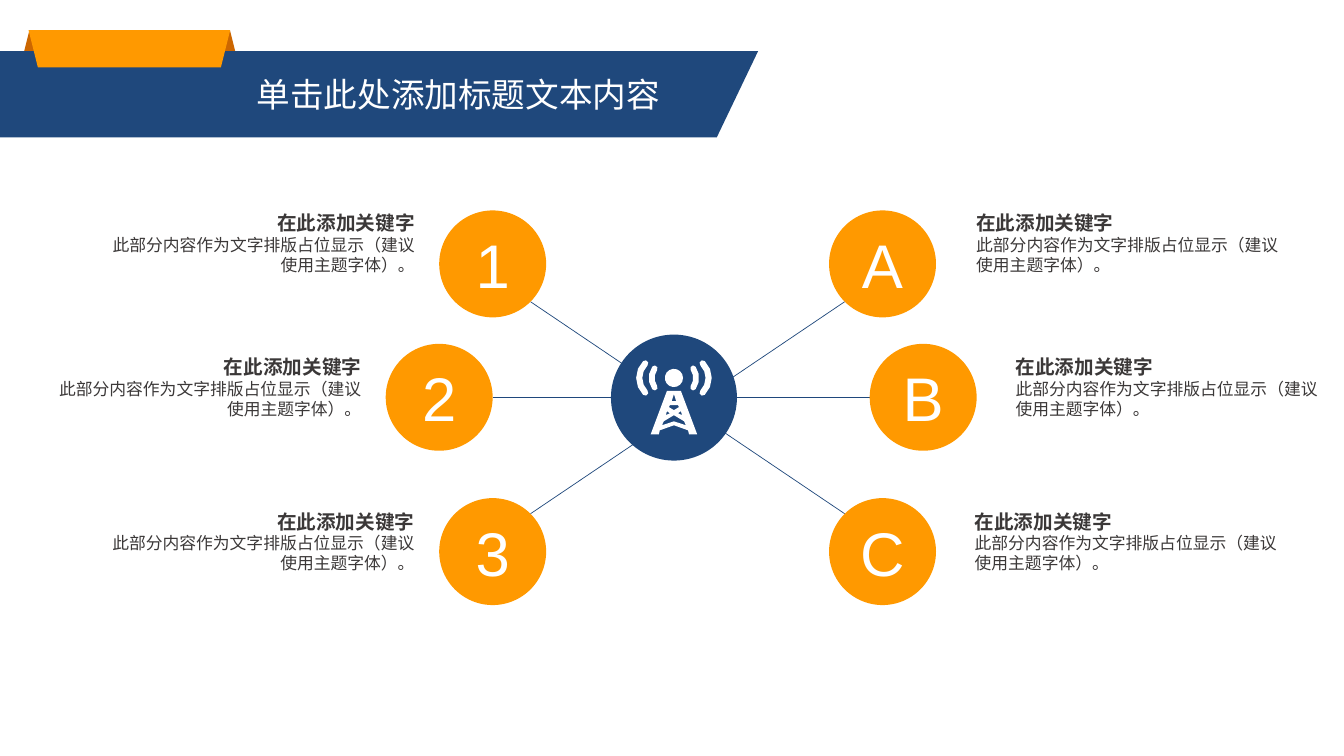
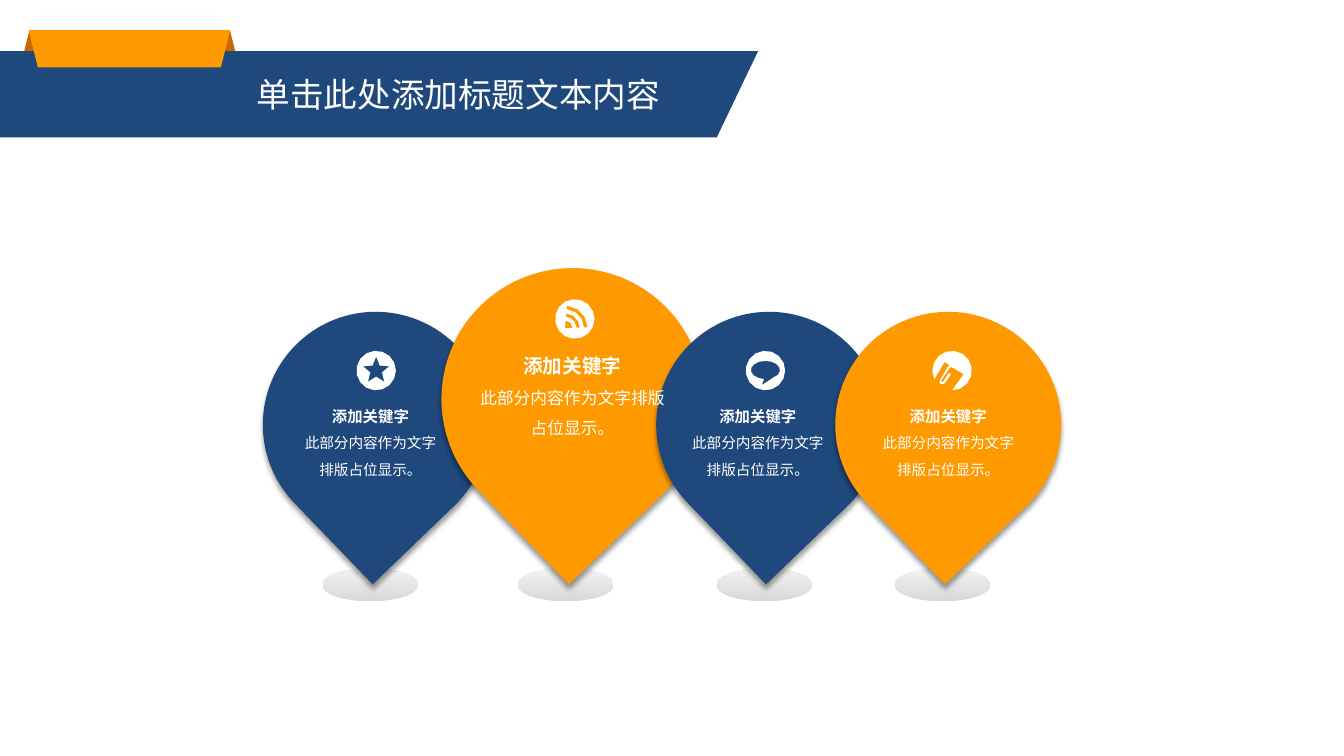
"""Build two diagram slides: a hub with six branches and a row of map pins."""
import math

from lxml import etree
from pptx import Presentation
from pptx.dml.color import RGBColor
from pptx.enum import shapes, text
from pptx.oxml.ns import qn
from pptx.util import Pt


class Theme:
    blue = RGBColor.from_string("1F487C")
    orange = RGBColor.from_string("FF9900")
    fold = RGBColor.from_string("CC6600")
    ink = RGBColor.from_string("3B3838")
    white = RGBColor.from_string("FFFFFF")
    ground = [RGBColor.from_string(c) for c in ("D8D8D8", "F2F2F2")]
    font = "Arial"
    title, digit, heading, body = 24, 44, 14, 12
    small_heading, small_body = 11, 10.5


KIND = shapes.MSO_SHAPE
LEFT, CENTER, RIGHT = text.PP_ALIGN.LEFT, text.PP_ALIGN.CENTER, text.PP_ALIGN.RIGHT

TITLE = "单击此处添加标题文本内容"
BRANCH_TEXT = ("在此添加关键字", "此部分内容作为文字排版占位显示（建议使用主题字体）。")
PIN_TEXT = ("添加关键字", "此部分内容作为文字排版占位显示。")

HUB = (481.4, 284, 90)
NODE = 76.4
BRANCHES = [
    ("1", 351.9, 188.5, 68.4, 146.2, RIGHT),
    ("2", 313.7, 283.8, 30.2, 248.9, RIGHT),
    ("3", 351.9, 394, 68.2, 359.1, RIGHT),
    ("A", 630.4, 188.5, 687.7, 146.2, LEFT),
    ("B", 659.4, 283.8, 715.8, 248.9, LEFT),
    ("C", 630.4, 394, 686.6, 359.1, LEFT),
]
LINKS = [("2", "B", 0), ("3", "A", -45), ("1", "C", 45)]

SMALL = dict(top=222.7, size=161.3, text=(279.2, 122.4, 67.7), icon_y=264.7,
             type=(Theme.small_heading, Theme.small_body))
LARGE = dict(top=191.5, size=187.2, text=(239.8, 155.5, 78.5), icon_y=227.8,
             type=(Theme.heading, Theme.body))
PINS = [
    ("star", SMALL, Theme.blue, 187.7, 230.4, 203.5, 268.7),
    ("feed", LARGE, Theme.orange, 315.3, 370, 331.2, 410.6),
    ("speech", SMALL, Theme.blue, 468.7, 511.9, 480.2, 546.8),
    ("clip", SMALL, Theme.orange, 596.6, 639.2, 616.2, 680.1),
]

CLIP_EDGE = [
    (-5.4, -6.1), (-1.8, -4), (-3.2, -2.5), (-8.3, 6.1), (-9, 8.3), (-8.3, 9.7),
    (-6.1, 9.7), (-4.7, 8.3), (-1.1, 3.2), (-1.2, 2.2), (-2.5, 1.8), (-6.1, 7.6),
    (-6.8, 8.3), (-7.6, 7.6), (-7.6, 6.8), (-1.8, -1.8), (-0.4, -2.5), (8.3, 2.5),
]
TOWER_HALVES = [
    [(-5, -4.7), (-16.6, 26.3), (-10.8, 26.3), (-10.1, 23.4), (0, 19.8)],
    [(0, -2.5), (-1.6, 2.5)],
    [(-2.9, 5.4), (-3.6, 6.8), (0, 9)],
    [(0, 12.6), (-7.2, 16.9), (-8.6, 19.8), (0, 17)],
]
TOWER_GAP = [(-5, 9.7), (-2.9, 11.2), (-5.8, 12.6)]
WAVES = [(4, 9.8, 14, 35), (10, 12.6, 17, 45)]


def arc(cx, cy, rx, ry, start, end, step=24):
    steps = max(2, round(abs(end - start) / step))
    angles = [math.radians(start + (end - start) * i / steps) for i in range(steps + 1)]
    return [(cx + rx * math.cos(a), cy + ry * math.sin(a)) for a in angles]


def disc(cx, cy, r):
    return arc(cx, cy, r, r, 0, 360)[:-1]


def band(cx, cy, inner, outer, start, end):
    return arc(cx, cy, outer, outer, start, end) + arc(cx, cy, inner, inner, end, start)


def wave(offset, inner, outer, half):
    mid, r = (inner + outer) / 2, (outer - inner) / 2
    a = math.radians(half)
    x, y = offset + mid * math.cos(a), mid * math.sin(a)
    lower = arc(x, y - 14, r, r, half, half + 180, 60)
    upper = arc(x, -y - 14, r, r, 180 - half, 360 - half, 60)
    return (lower + arc(offset, -14, inner, inner, half, -half)[1:-1]
            + upper + arc(offset, -14, outer, outer, -half, half)[1:-1])


def flip(points):
    return [(-x, y) for x, y in reversed(points)]


def mirror(half):
    return half + [(x, y) for x, y in flip(half) if x]


def icon_contours():
    rim = disc(0, 0, 14.1)
    star = []
    for i in range(10):
        a, r = math.radians(36 * i - 90), 4.4 if i % 2 else 9.9
        star.append((r * math.cos(a), r * math.sin(a)))
    dot = [(-7, 6.6)] + arc(-7, 6.6, 5.5, 5.5, -85, -2, 40)
    bands = [band(-7, 6.6, lo, hi, -85, -2) for lo, hi in ((8.2, 10.6), (13.6, 16.2))]
    speech = arc(0, -0.4, 10.4, 6.5, 96, 418) + [(-2.5, 10.4)]
    right = [wave(*w) for w in WAVES]
    tower = [mirror(half) for half in TOWER_HALVES]
    return {
        "star": [rim, star],
        "feed": [rim, dot] + bands,
        "speech": [rim, speech],
        "clip": [arc(0, 0, 14.1, 14.1, 90, -206) + CLIP_EDGE],
        "tower": tower + [TOWER_GAP, flip(TOWER_GAP), disc(0, -14, 6.5)]
        + right + [flip(w) for w in right],
    }


def paint(sp, color):
    if color is not None:
        sp.fill.solid()
        sp.fill.fore_color.rgb = color
    sp.line.fill.background()
    sp.shadow.inherit = False
    return sp


def add_shape(slide, kind, x, y, w, h, color=None):
    return paint(slide.shapes.add_shape(kind, Pt(x), Pt(y), Pt(w), Pt(h)), color)


def add_circle(slide, cx, cy, d, color):
    return add_shape(slide, KIND.OVAL, cx - d / 2, cy - d / 2, d, d, color)


def add_outline(slide, contours, color, cx=0, cy=0):
    placed = [[(Pt(cx + x), Pt(cy + y)) for x, y in c] for c in contours]
    builder = slide.shapes.build_freeform(*placed[0][0])
    for i, points in enumerate(placed):
        if i:
            builder.move_to(*points[0])
        builder.add_line_segments(points[1:], close=True)
    return paint(builder.convert_to_shape(), color)


def write(tf, lines, sizes, color, align, bold_first=False, spacing=None):
    for i, (line, size) in enumerate(zip(lines, sizes)):
        p = tf.add_paragraph() if i else tf.paragraphs[0]
        p.text = line
        p.alignment = align
        if spacing:
            p.line_spacing = spacing
        p.font.name, p.font.size, p.font.color.rgb = Theme.font, Pt(size), color
        p.font.bold = bold_first and i == 0


def add_text(slide, x, y, w, h, lines, sizes, color, align, wrap=True, **style):
    tf = slide.shapes.add_textbox(Pt(x), Pt(y), Pt(w), Pt(h)).text_frame
    tf.word_wrap = wrap
    tf.auto_size = text.MSO_AUTO_SIZE.SHAPE_TO_FIT_TEXT
    tf.margin_left = tf.margin_right = Pt(9.6)
    tf.margin_top = tf.margin_bottom = Pt(4.8)
    write(tf, lines, sizes, color, align, **style)


def add_link(slide, start, end):
    line = slide.shapes.add_connector(shapes.MSO_CONNECTOR.STRAIGHT, *map(Pt, start + end))
    line.line.color.rgb = Theme.blue
    line.line.width = Pt(0.5)
    etree.SubElement(line._element.spPr, qn("a:effectLst"))


def drop_shadow(sp):
    effects = sp._element.spPr.find(qn("a:effectLst"))
    shadow = etree.SubElement(effects, qn("a:outerShdw"), blurRad=str(Pt(4)),
                              dist=str(Pt(3)), dir="5400000", algn="t", rotWithShape="0")
    tone = etree.SubElement(shadow, qn("a:srgbClr"), val="000000")
    etree.SubElement(tone, qn("a:alpha"), val="40000")


def add_header(slide):
    add_shape(slide, KIND.TRAPEZOID, 11.3, 22.3, 162.7, 38.2, Theme.fold)
    add_outline(slide, [[(0, 36.5), (541.5, 36.5), (512, 98.1), (0, 98.1)]], Theme.blue)
    add_shape(slide, KIND.TRAPEZOID, 20.4, 21.5, 144, 26.6, Theme.orange).rotation = 180
    add_text(slide, 173.7, 48.2, 310.3, 38.9, [TITLE], [Theme.title], Theme.white, LEFT, wrap=False)


def build_hub(slide, icons):
    centers = {label: (cx, cy) for label, cx, cy, *_ in BRANCHES}
    for first, last, angle in LINKS:
        dx = NODE / 2 * math.cos(math.radians(angle))
        dy = NODE / 2 * math.sin(math.radians(angle))
        (x1, y1), (x2, y2) = centers[first], centers[last]
        add_link(slide, (x1 + dx, y1 + dy), (x2 - dx, y2 - dy))
    add_header(slide)
    add_circle(slide, *HUB, Theme.blue)
    for label, cx, cy, left, top, align in BRANCHES:
        tf = add_circle(slide, cx, cy, NODE, Theme.orange).text_frame
        tf.vertical_anchor = text.MSO_ANCHOR.MIDDLE
        write(tf, [label], [Theme.digit], Theme.white, CENTER)
        add_text(slide, left, top, 237.6, 55.4, BRANCH_TEXT, (Theme.heading, Theme.body),
                 Theme.ink, align, bold_first=True)
    add_outline(slide, icons["tower"], Theme.white, *HUB[:2])


def build_pins(slide, icons):
    for *_, ground_x, _, _ in PINS:
        sp = add_shape(slide, KIND.OVAL, ground_x, 405.9, 68.2, 23.7)
        sp.fill.gradient()
        sp.fill.gradient_angle = 90
        for stop, color in zip(sp.fill.gradient_stops, Theme.ground):
            stop.color.rgb = color
    for _, form, color, x, *_ in PINS:
        sp = add_shape(slide, KIND.TEAR, x, form["top"], form["size"], form["size"], color)
        sp.rotation = 136.1
        drop_shadow(sp)
    add_header(slide)
    for icon, form, _, _, _, text_x, icon_x in PINS:
        add_text(slide, text_x, *form["text"], PIN_TEXT, form["type"], Theme.white,
                 CENTER, bold_first=True, spacing=1.5)
        add_outline(slide, icons[icon], Theme.white, icon_x, form["icon_y"])


def main():
    prs = Presentation()
    prs.slide_width, prs.slide_height = Pt(960), Pt(540)
    icons = icon_contours()
    for build in (build_hub, build_pins):
        build(prs.slides.add_slide(prs.slide_layouts[6]), icons)
    prs.save("out.pptx")


if __name__ == "__main__":
    main()
